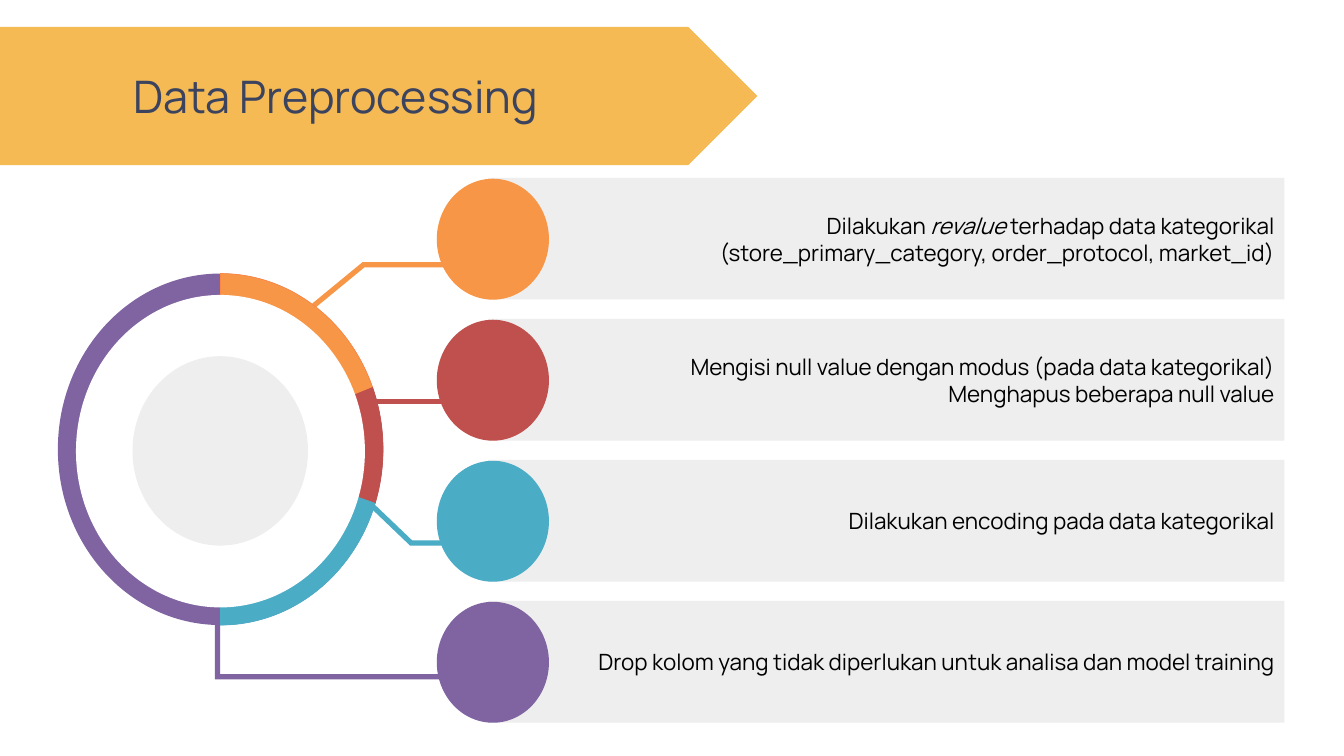
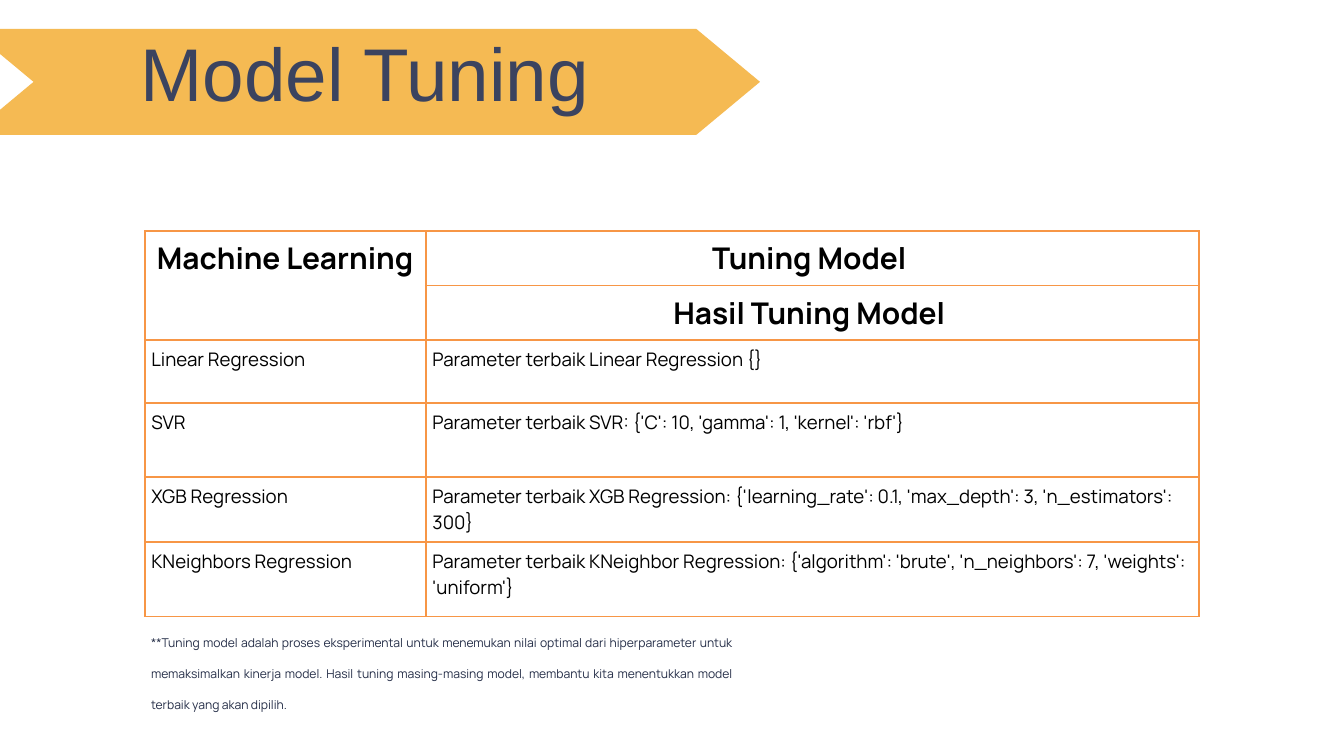
from dataclasses import dataclass
from math import ceil, cos, floor, hypot, radians, sin, tan
from typing import NamedTuple, Optional

from pptx import Presentation
from pptx.dml.color import RGBColor as Rgb
from pptx.enum.shapes import MSO_SHAPE as Shape
from pptx.enum.text import MSO_ANCHOR as Anchor, PP_ALIGN as Align
from pptx.oxml import parse_xml
from pptx.oxml.ns import nsdecls, qn
from pptx.util import Pt


class TextStyle(NamedTuple):
    size: float
    color: Rgb
    font: str = "Manrope"
    bold: bool = False
    align: Align = Align.LEFT
    spacing: float = 1.0


BLACK = Rgb(0, 0, 0)
NAVY = Rgb.from_string("3B435F")


@dataclass(frozen=True)
class Theme:
    white: Rgb = Rgb.from_string("FFFFFF")
    panel: Rgb = Rgb.from_string("EEEEEE")
    banner: Rgb = Rgb.from_string("F5BA53")
    orange: Rgb = Rgb.from_string("F79646")
    orange_edge: Rgb = Rgb.from_string("FD8845")
    red: Rgb = Rgb.from_string("C0504D")
    teal: Rgb = Rgb.from_string("4BACC6")
    purple: Rgb = Rgb.from_string("8064A2")
    title: TextStyle = TextStyle(48, NAVY, align=Align.CENTER)
    big_title: TextStyle = TextStyle(80, NAVY, "Arial", align=Align.CENTER, spacing=0.97)
    step: TextStyle = TextStyle(24, BLACK, align=Align.RIGHT)
    head: TextStyle = TextStyle(32, BLACK, bold=True, align=Align.CENTER)
    body: TextStyle = TextStyle(20, BLACK)
    note: TextStyle = TextStyle(13, Rgb.from_string("242D47"), align=Align.JUSTIFY, spacing=2.12)


THEME = Theme()


class Box(NamedTuple):
    left: float
    top: float
    width: float
    height: float

    def lengths(self) -> list:
        return [Pt(value) for value in self]


class Point(NamedTuple):
    x: float
    y: float


class Step(NamedTuple):
    color: Rgb
    lines: list[str]  # text between bars is italic
    leader: list[Point]  # from the ring to the disc


class Arc(NamedTuple):
    color: Rgb
    start: float
    end: float
    edge: Optional[Rgb] = None


STEPS = [
    Step(THEME.orange,
         ["Dilakukan |revalue |terhadap data kategorikal",
          "(store_primary_category, order_protocol, market_id)"],
         [Point(335, 328.5), Point(389.5, 283.7), Point(496, 283.7)]),
    Step(THEME.red,
         ["Mengisi null value dengan modus (pada data kategorikal)",
          "Menghapus beberapa null value"],
         [Point(393, 430.6), Point(496, 430.6)]),
    Step(THEME.teal,
         ["Dilakukan encoding pada data kategorikal"],
         [Point(388, 531.6), Point(440.5, 581.8), Point(522, 581.8)]),
    Step(THEME.purple,
         ["Drop kolom yang tidak diperlukan untuk analisa dan model training"],
         [Point(233, 595), Point(233, 725.2), Point(478, 725.2)]),
]
STEP_TOP, STEP_PITCH = 190.6, 151.1
LEADER_WIDTH = 5.6

# Ring around the hub, angles clockwise from three o'clock
RING_CENTER = Point(236.2, 481.4)
RING_OUTER = Point(174.2, 188.3)
RING_INNER = Point(147.6, 159.5)
ARCS = [
    Arc(THEME.purple, 0, 360),
    Arc(THEME.orange, -90, -20.6, THEME.orange_edge),
    Arc(THEME.red, -20.6, 17.9, THEME.red),
    Arc(THEME.teal, 17.9, 90, THEME.teal),
]

TUNING_HEAD = [("Machine Learning", "Tuning Model "), ("", "Hasil Tuning Model ")]
TUNING_BODY = [
    ("Linear Regression", "Parameter terbaik Linear Regression {}"),
    ("SVR", "Parameter terbaik SVR: {'C': 10, 'gamma': 1, 'kernel': 'rbf'}"),
    ("XGB Regression",
     "Parameter terbaik XGB Regression: "
     "{'learning_rate': 0.1, 'max_depth': 3, 'n_estimators': 300}"),
    ("KNeighbors Regression",
     "Parameter terbaik KNeighbor Regression: "
     "{'algorithm': 'brute', 'n_neighbors': 7, 'weights': 'uniform'}"),
]
COLUMN_WIDTHS = [301.2, 828.5]
ROW_HEIGHTS = [51.6, 52.4, 67.5, 79.7, 67.5, 80]
TUNING_NOTE = (
    "**Tuning model adalah proses eksperimental untuk menemukan nilai optimal dari "
    "hiperparameter untuk memaksimalkan kinerja model. Hasil tuning masing-masing model, "
    "membantu kita menentukkan model terbaik yang akan dipilih."
)


# Shared drawing helpers
def write(frame, lines: list[str], style: TextStyle) -> None:
    frame.text = "\n".join(lines)
    for para, line in zip(frame.paragraphs, lines):
        para.alignment = style.align
        para.line_spacing = style.spacing
        first, *others = line.split("|")
        para.text = first
        for piece in others:
            para.add_run().text = piece
        for index, span in enumerate(para.runs):
            span.font.name = style.font
            span.font.size = Pt(style.size)
            span.font.bold = style.bold
            span.font.italic = index % 2 == 1
            span.font.color.rgb = style.color


def set_margins(frame, left: float, top: float, right: float, bottom: float) -> None:
    frame.margin_left, frame.margin_top = Pt(left), Pt(top)
    frame.margin_right, frame.margin_bottom = Pt(right), Pt(bottom)


def paint(shape, color: Rgb):
    shape.shadow.inherit = False
    shape.fill.solid()
    shape.fill.fore_color.rgb = color
    shape.line.fill.background()
    return shape


def add_preset(page, kind: Shape, box: Box, color: Rgb):
    return paint(page.shapes.add_shape(kind, *box.lengths()), color)


def add_outline(page, points: list[Point], color: Rgb):
    start, *rest = [(Pt(point.x), Pt(point.y)) for point in points]
    builder = page.shapes.build_freeform(*start)
    builder.add_line_segments(rest, close=True)
    return paint(builder.convert_to_shape(), color)


def add_banner(page, box: Box, tip: float, title: str, style: TextStyle, anchor: Anchor) -> None:
    left, top, width, height = box
    right, middle, bottom = left + width, top + height / 2, top + height
    banner = add_outline(page, [
        Point(left, top), Point(right - tip, top), Point(right, middle),
        Point(right - tip, bottom), Point(left, bottom), Point(left + tip, middle),
    ], THEME.banner)
    frame = banner.text_frame
    frame.word_wrap = True
    frame.vertical_anchor = anchor
    set_margins(frame, 7.2, 3.6, 7.2, 3.6)
    write(frame, [title], style)


# Preprocessing parts
def leader_side(points: list[Point], offset: float) -> list[Point]:
    """Shift a bent line sideways, with mitred corners."""
    normals = []
    for start, end in zip(points, points[1:]):
        length = hypot(end.x - start.x, end.y - start.y)
        normals.append(Point((start.y - end.y) / length, (end.x - start.x) / length))
    side = []
    for point, before, after in zip(points, normals[:1] + normals, normals + normals[-1:]):
        scale = offset / (1 + before.x * after.x + before.y * after.y)
        side.append(Point(point.x + scale * (before.x + after.x),
                          point.y + scale * (before.y + after.y)))
    return side


def add_leader(page, step: Step) -> None:
    half = LEADER_WIDTH / 2
    add_outline(page, leader_side(step.leader, half) + leader_side(step.leader, -half)[::-1],
                step.color)


def curve_points(radius: Point, arc: Arc) -> list[Point]:
    """Start point, then two handles and an end point for each part of a quadrant."""
    quadrants = range(floor(arc.start / 90) + 1, ceil(arc.end / 90))
    stops = [radians(angle) for angle in (arc.start, *(90 * q for q in quadrants), arc.end)]

    def place(angle: float, reach: float = 0) -> Point:
        return Point(RING_CENTER.x + radius.x * (cos(angle) - reach * sin(angle)),
                     RING_CENTER.y + radius.y * (sin(angle) + reach * cos(angle)))

    points = [place(stops[0])]
    for start, end in zip(stops, stops[1:]):
        reach = 4 / 3 * tan((end - start) / 4)
        points += [place(start, reach), place(end, -reach), place(end)]
    return points


def add_arc(page, arc: Arc) -> None:
    outer = curve_points(RING_OUTER, arc)
    inner = curve_points(RING_INNER, arc)[::-1]
    shape = add_outline(page, outer + inner, arc.color)
    if arc.edge is not None:
        shape.line.color.rgb = arc.edge
        shape.line.width = Pt(0.75)
    # Turn each handle, handle, end triple into one curve
    segments = list(shape._element.iter(qn("a:lnTo")))
    bend_count = len(outer) - 1
    for run in (segments[:bend_count], segments[bend_count + 1:]):
        for index in range(0, len(run), 3):
            curve = parse_xml(f'<a:cubicBezTo {nsdecls("a")}/>')
            run[index].addprevious(curve)
            for segment in run[index:index + 3]:
                curve.append(segment[0])
                segment.getparent().remove(segment)


def build_preprocessing(page) -> None:
    add_banner(page, Box(-102.2, 28.8, 913.7, 148), 74,
               " Data Preprocessing", THEME.title, Anchor.MIDDLE)
    tops = [STEP_TOP + STEP_PITCH * index for index in range(len(STEPS))]

    # Grey bars, then leaders, then discs on top
    for step, top in zip(STEPS, tops):
        bar = add_preset(page, Shape.RECTANGLE, Box(523.4, top, 852.8, 130.3), THEME.panel)
        bar.text_frame.word_wrap = True
        bar.text_frame.vertical_anchor = Anchor.MIDDLE
        set_margins(bar.text_frame, 50.4, 7.2, 10.8, 7.2)
        write(bar.text_frame, step.lines, THEME.step)
    for step in STEPS:
        add_leader(page, step)
    for step, top in zip(STEPS, tops):
        add_preset(page, Shape.OVAL, Box(468, top + 0.9, 120.2, 129.6), step.color)

    # Ring and hub
    for arc in ARCS:
        add_arc(page, arc)
    add_preset(page, Shape.OVAL, Box(81.4, 316, 309.6, 334.8), THEME.white)
    add_preset(page, Shape.OVAL, Box(142, 381.6, 188, 203), THEME.panel)


# Tuning parts
def add_borders(cell) -> None:
    properties = cell._tc.get_or_add_tcPr()
    for index, side in enumerate("LRTB"):
        properties.insert(index, parse_xml(
            f'<a:ln{side} {nsdecls("a")} w="{Pt(2.25)}"><a:solidFill>'
            f'<a:srgbClr val="{THEME.orange}"/></a:solidFill></a:ln{side}>'))


def add_tuning_table(page) -> None:
    rows = TUNING_HEAD + TUNING_BODY
    box = Box(155, 247.7, sum(COLUMN_WIDTHS), sum(ROW_HEIGHTS))
    table = page.shapes.add_table(len(rows), len(COLUMN_WIDTHS), *box.lengths()).table
    table.first_row = table.horz_banding = False
    for column, width in zip(table.columns, COLUMN_WIDTHS):
        column.width = Pt(width)
    for row, height in zip(table.rows, ROW_HEIGHTS):
        row.height = Pt(height)
    for row_index, texts in enumerate(rows):
        is_head = row_index < len(TUNING_HEAD)
        for column_index, text in enumerate(texts):
            cell = table.cell(row_index, column_index)
            set_margins(cell, 7.2, 7.2, 7.2, 7.2)
            if is_head:
                cell.fill.solid()
                cell.fill.fore_color.rgb = THEME.white
            else:
                cell.fill.background()
            add_borders(cell)
            if text:
                write(cell.text_frame, [text], THEME.head if is_head else THEME.body)
    table.cell(0, 0).merge(table.cell(1, 0))


def build_tuning(page) -> None:
    add_tuning_table(page)
    add_banner(page, Box(-32.4, 30.8, 846.7, 113.8), 68.4,
               "Model Tuning", THEME.big_title, Anchor.TOP)
    note = page.shapes.add_textbox(*Box(154.8, 656.3, 636.5, 113.8).lengths())
    note.text_frame.word_wrap = True
    set_margins(note.text_frame, 7.2, 7.2, 7.2, 7.2)
    write(note.text_frame, [TUNING_NOTE], THEME.note)


def main() -> None:
    deck = Presentation()
    deck.slide_width, deck.slide_height = Pt(1440), Pt(810)
    for build in (build_preprocessing, build_tuning):
        build(deck.slides.add_slide(deck.slide_layouts[6]))
    deck.save("out.pptx")


if __name__ == "__main__":
    main()
